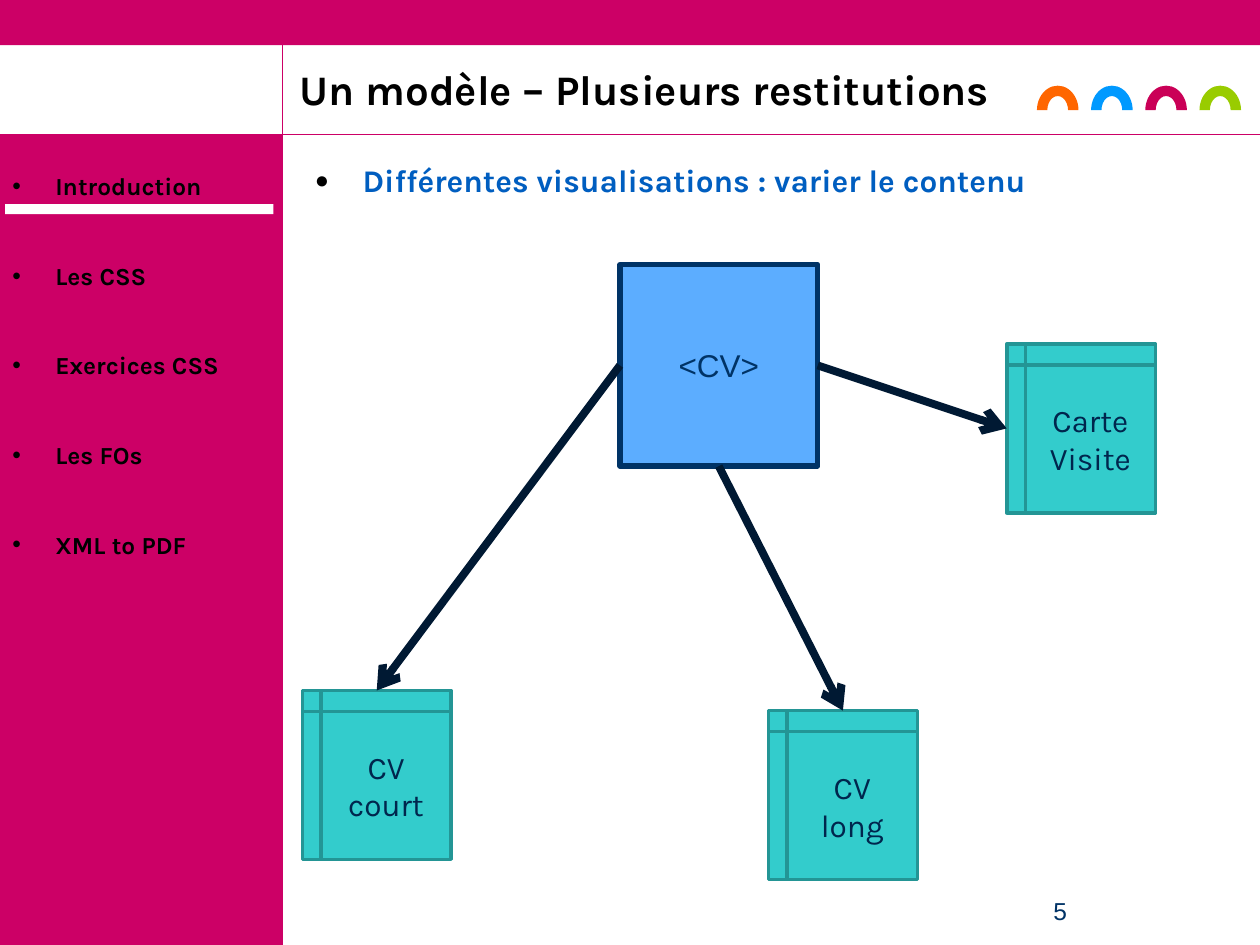
from dataclasses import dataclass

from pptx import Presentation
from pptx.dml.color import RGBColor as Rgb
from pptx.enum.shapes import MSO_CONNECTOR as Link, MSO_SHAPE as Kind
from pptx.enum.text import MSO_ANCHOR as Anchor, PP_ALIGN as Align
from pptx.oxml.ns import qn
from pptx.shapes.autoshape import Shape
from pptx.shapes.connector import Connector
from pptx.slide import Slide
from pptx.text.text import TextFrame
from pptx.util import Inches, Pt
from lxml.etree import SubElement as Sub


@dataclass(frozen=True)
class Theme:
    pink: str = "CC0066"
    white: str = "FFFFFF"
    black: str = "000000"
    navy: str = "003366"
    blue: str = "5CADFF"
    head: str = "005EC0"
    teal: str = "33CCCC"
    edge: str = "239595"
    ink: str = "00264D"
    arrow: str = "001933"
    arches: tuple[str, ...] = ("FF6600", "0099FF", "CA0057", "99CC00")
    big: int = 24
    mid: int = 18
    small: int = 14
    main: str = "Karla"
    plain: str = "Arial"


@dataclass(frozen=True)
class Box:
    left: float
    top: float
    width: float
    height: float


@dataclass(frozen=True)
class Style:
    size: int
    color: str
    font: str = "Karla"
    bold: bool = False
    align: Align = Align.LEFT
    line: float = 1.0
    after: float = 0


@dataclass(frozen=True)
class Bullet:
    char: str
    indent: float
    scale: int = 100


@dataclass(frozen=True)
class Output:
    text: str
    left: float
    top: float
    start: int
    end: int


THEME = Theme()
MENU = ("Introduction", "Les CSS", "Exercices CSS", "Les FOs", "XML to PDF")
OUTPUTS = (
    Output("Carte Visite", 7.99, 2.73, 3, 1),
    Output("CV long", 6.1, 5.64, 2, 0),
    Output("CV court", 2.4, 5.48, 1, 0),
)


def place(box: Box) -> tuple[Inches, ...]:
    return tuple(Inches(n) for n in (box.left, box.top, box.width, box.height))


def write(frame: TextFrame, lines: tuple[str, ...], style: Style,
          bullet: Bullet | None = None) -> None:
    frame.word_wrap = True
    for i, line in enumerate(lines):
        para = frame.add_paragraph() if i else frame.paragraphs[0]
        para.alignment = style.align
        para.line_spacing = style.line
        para.space_after = Pt(style.after)
        run = para.add_run()
        run.text = line
        font = run.font
        font.name, font.size, font.bold = style.font, Pt(style.size), style.bold
        font.color.rgb = Rgb.from_string(style.color)
        if bullet:
            props = para._p.get_or_add_pPr()
            props.set("marL", str(Inches(bullet.indent)))
            props.set("indent", str(-Inches(bullet.indent)))
            Sub(Sub(props, qn("a:buClr")), qn("a:srgbClr"), val=THEME.black)
            Sub(props, qn("a:buSzPct"), val=str(bullet.scale * 1000))
            Sub(props, qn("a:buFont"), typeface=THEME.plain)
            Sub(props, qn("a:buChar"), char=bullet.char)


def label(slide: Slide, box: Box, lines: tuple[str, ...], style: Style,
          bullet: Bullet | None = None, anchor: Anchor = Anchor.TOP) -> None:
    frame = slide.shapes.add_textbox(*place(box)).text_frame
    frame.vertical_anchor = anchor
    write(frame, lines, style, bullet)


def block(slide: Slide, box: Box, fill: str, kind: Kind = Kind.RECTANGLE,
          edge: str | None = None, width: float = 0) -> Shape:
    shape = slide.shapes.add_shape(kind, *place(box))
    shape.shadow.inherit = False
    shape.fill.solid()
    shape.fill.fore_color.rgb = Rgb.from_string(fill)
    if edge:
        shape.line.color.rgb = Rgb.from_string(edge)
        shape.line.width = Pt(width)
    else:
        shape.line.fill.background()
    return shape


def node(slide: Slide, box: Box, text: str, style: Style, fill: str,
         kind: Kind, edge: str, width: float) -> Shape:
    shape = block(slide, box, fill, kind, edge, width)
    shape.text_frame.vertical_anchor = Anchor.MIDDLE
    write(shape.text_frame, (text,), style)
    return shape


def rule(slide: Slide, x1: float, y1: float, x2: float, y2: float,
         color: str, width: float) -> Connector:
    ends = (Inches(n) for n in (x1, y1, x2, y2))
    line = slide.shapes.add_connector(Link.STRAIGHT, *ends)
    line.line.color.rgb = Rgb.from_string(color)
    line.line.width = Pt(width)
    Sub(line._element.spPr, qn("a:effectLst"))
    return line


def arrow(slide: Slide, source: Shape, start: int, goal: Shape, end: int) -> None:
    line = rule(slide, 0, 0, 1, 1, THEME.arrow, 4.5)
    line.begin_connect(source, start)
    line.end_connect(goal, end)
    Sub(line.line._get_or_add_ln(), qn("a:tailEnd"), type="arrow")


def frame(slide: Slide) -> None:
    block(slide, Box(0, 1.07, 2.24, 6.43), THEME.pink)
    block(slide, Box(0, 0, 10, 0.36), THEME.pink)
    rule(slide, 0, 1.07, 10, 1.07, THEME.pink, 0.75)
    rule(slide, 2.24, 7.5, 2.24, 0, THEME.pink, 0.75)
    for i, color in enumerate(THEME.arches):
        arch = block(slide, Box(8.23 + i * 0.43, 0.68, 0.33, 0.39),
                     color, Kind.BLOCK_ARC)
        arch.adjustments[2] = 0.25
    label(slide, Box(0, 1.31, 2.32, 3.66), MENU,
          Style(THEME.small, THEME.black, bold=True, after=34.4),
          Bullet("•", 0.34))
    block(slide, Box(0.04, 1.62, 2.13, 0.08), THEME.white)


def main() -> None:
    deck = Presentation()
    deck.slide_width, deck.slide_height = Inches(10), Inches(7.5)
    slide = deck.slides.add_slide(deck.slide_layouts[6])
    frame(slide)
    label(slide, Box(2.28, 0.48, 7.33, 0.48),
          ("Un modèle – Plusieurs restitutions",),
          Style(THEME.big, THEME.black, bold=True, line=0.9),
          anchor=Anchor.BOTTOM)
    label(slide, Box(2.4, 1.23, 7.4, 6.27),
          ("Différentes visualisations : varier le contenu",),
          Style(THEME.mid, THEME.head, bold=True), Bullet("●", 0.38, 75))
    label(slide, Box(7.84, 7.06, 1.15, 0.44), ("5",),
          Style(THEME.small, THEME.navy, THEME.plain, align=Align.CENTER))

    model = node(slide, Box(4.92, 2.1, 1.57, 1.6), "<CV>",
                 Style(THEME.mid, THEME.navy, THEME.plain, align=Align.CENTER),
                 THEME.blue, Kind.RECTANGLE, THEME.navy, 3)
    style = Style(THEME.mid, THEME.ink, align=Align.CENTER)
    goals = [node(slide, Box(out.left, out.top, 1.18, 1.34), out.text, style,
                  THEME.teal, Kind.FLOWCHART_INTERNAL_STORAGE, THEME.edge, 2)
             for out in OUTPUTS]
    for out, goal in zip(OUTPUTS, goals):
        arrow(slide, model, out.start, goal, out.end)
    deck.save("out.pptx")


if __name__ == "__main__":
    main()
